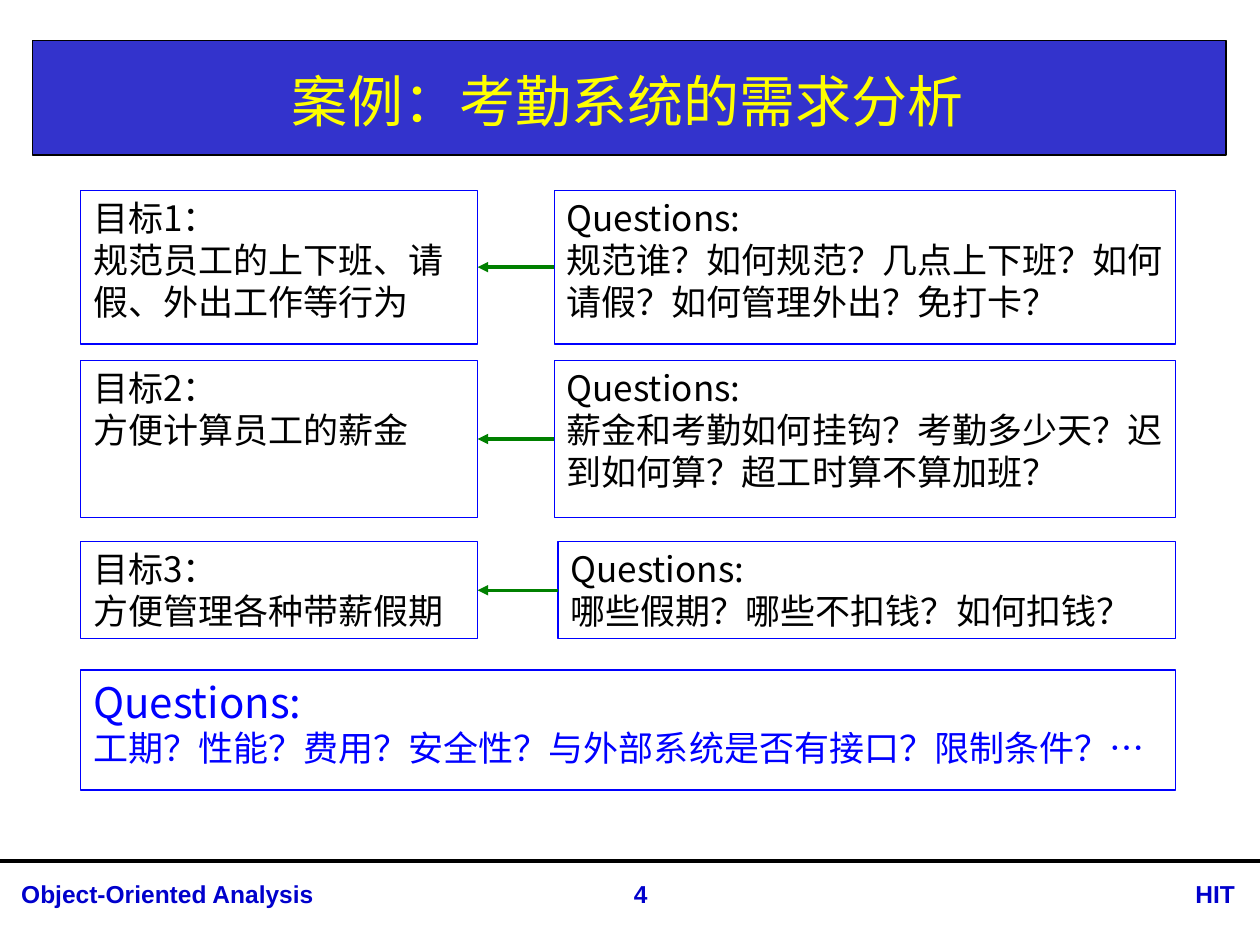
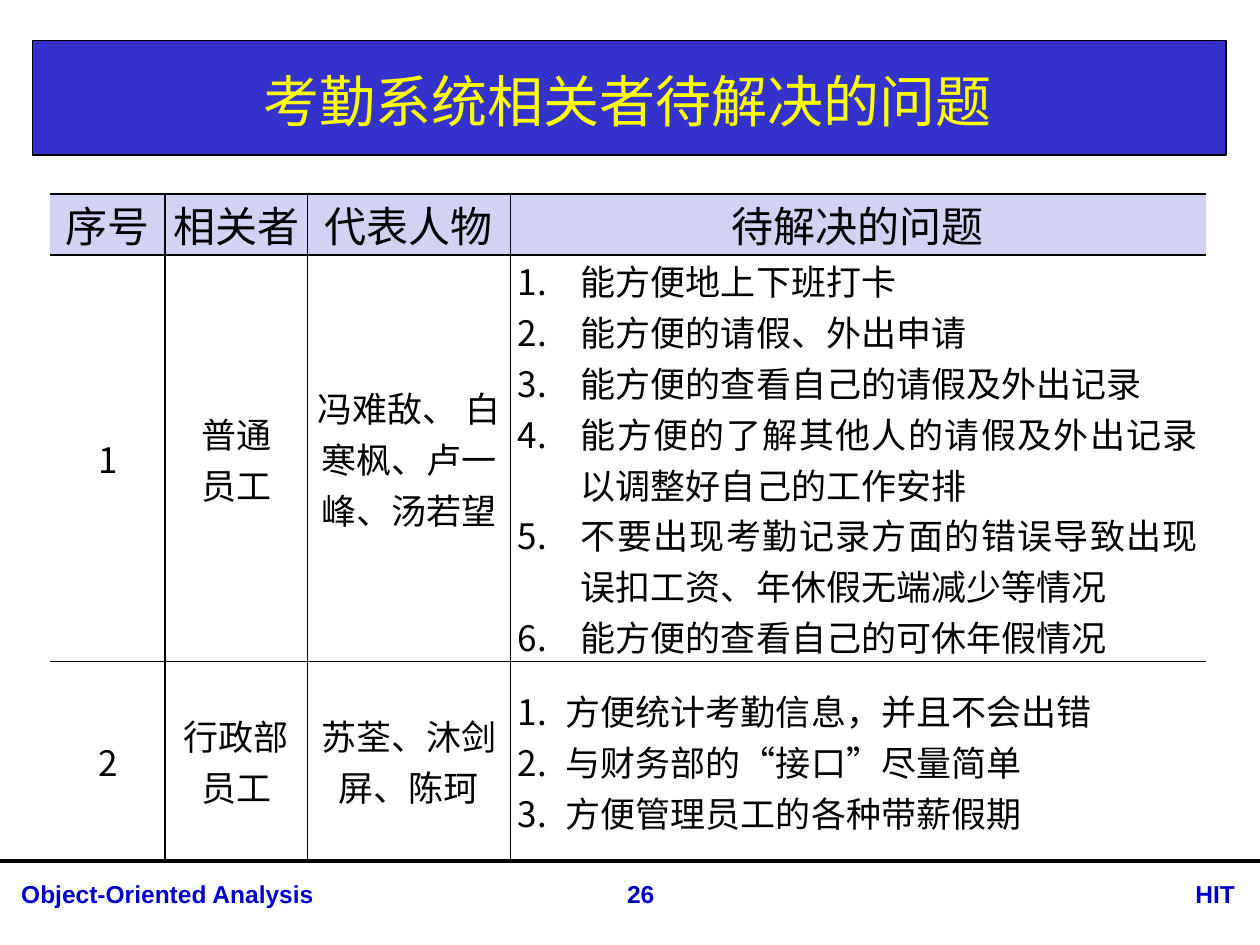
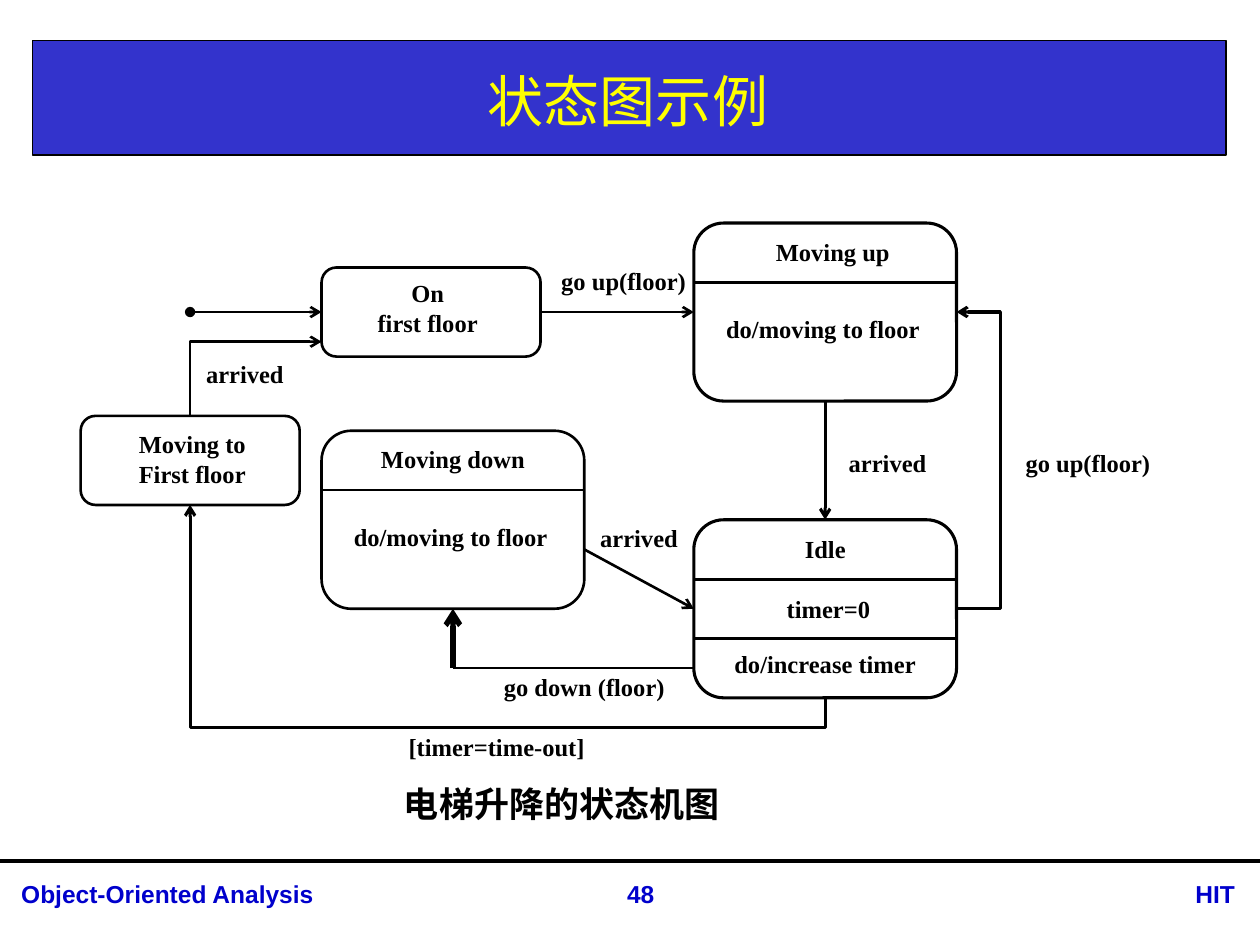
from dataclasses import dataclass, replace

from lxml.etree import SubElement
from pptx import Presentation
from pptx.dml.color import RGBColor
from pptx.enum.shapes import MSO_CONNECTOR, MSO_SHAPE
from pptx.enum.text import MSO_ANCHOR, PP_ALIGN
from pptx.oxml.ns import qn
from pptx.util import Inches, Pt

COLORS = {
    "band": "3333CC",
    "title": "FFFF00",
    "footer": "0000CC",
    "blue": "0000FF",
    "arrow": "008000",
    "header": "D2D2F4",
    "black": "000000",
    "white": "FFFFFF",
}
SANS = "Noto Sans CJK SC"
TOP, LEFT, BOTTOM, RIGHT = range(4)


@dataclass(frozen=True)
class Grid:
    left: float
    top: float
    width: float
    height: float
    columns: float
    rows: float

    def point(self, column, row):
        return (Inches(self.left + column * self.width / self.columns),
                Inches(self.top + row * self.height / self.rows))

    def box(self, column, row, columns, rows):
        return (*self.point(column, row),
                Inches(columns * self.width / self.columns),
                Inches(rows * self.height / self.rows))


@dataclass(frozen=True)
class TextStyle:
    size: int = 20
    color: str = "black"
    font: str = SANS
    bold: bool = False
    align: PP_ALIGN = PP_ALIGN.LEFT
    anchor: MSO_ANCHOR = MSO_ANCHOR.TOP
    spacing: float = 1.0


SLIDE_GRID = Grid(0, 0, 10, 7.5, 100, 75)
BODY = TextStyle()
TITLE = TextStyle(32, "title", align=PP_ALIGN.CENTER, anchor=MSO_ANCHOR.MIDDLE)
FOOTER = TextStyle(14, "footer", "Arial", True)
LABEL = TextStyle(14, "black", "Times New Roman", True, PP_ALIGN.CENTER, MSO_ANCHOR.MIDDLE, 0.72)
EVENT = replace(LABEL, spacing=0.56)
STATE = replace(LABEL, spacing=1.0)
CAPTION = replace(LABEL, size=20, align=PP_ALIGN.JUSTIFY, spacing=1.44)
CELL = replace(BODY, align=PP_ALIGN.CENTER)


def rgb(name):
    return RGBColor.from_string(COLORS[name])


def write(text_frame, lines, style, number_indent=None):
    text_frame.word_wrap = True
    for index, line in enumerate(lines):
        paragraph = text_frame.add_paragraph() if index else text_frame.paragraphs[0]
        paragraph.alignment = style.align
        if style.spacing != 1:
            paragraph.line_spacing = style.spacing
        if number_indent:
            properties = paragraph._p.get_or_add_pPr()
            properties.set("marL", str(Inches(number_indent)))
            properties.set("indent", str(-Inches(number_indent)))
            SubElement(properties, qn("a:buAutoNum"), type="arabicPeriod")
        run = paragraph.add_run()
        run.text = line
        run.font.size = Pt(style.size)
        run.font.bold = style.bold
        run.font.name = style.font
        run.font.color.rgb = rgb(style.color)
        SubElement(run._r.get_or_add_rPr(), qn("a:ea"), typeface=SANS)


def add_text(slide, box, lines, style):
    text_box = slide.shapes.add_textbox(*box)
    write(text_box.text_frame, lines, style)
    text_box.text_frame.vertical_anchor = style.anchor


def paint(shape, fill=None, line=None, width=0.75):
    shape.shadow.inherit = False
    if fill:
        shape.fill.solid()
        shape.fill.fore_color.rgb = rgb(fill)
    else:
        shape.fill.background()
    if line:
        shape.line.color.rgb = rgb(line)
        shape.line.width = Pt(width)
    else:
        shape.line.fill.background()


def add_box(slide, box, lines=(), style=BODY, kind=MSO_SHAPE.RECTANGLE, **look):
    shape = slide.shapes.add_shape(kind, *box)
    paint(shape, **look)
    write(shape.text_frame, lines, style)
    shape.text_frame.vertical_anchor = style.anchor
    return shape


def add_ends(shape, head=None, tail=None):
    line = shape.line._get_or_add_ln()
    for tag, kind in (("a:headEnd", head), ("a:tailEnd", tail)):
        if kind:
            SubElement(line, qn(tag), type=kind)


def add_line(slide, start, end, color="black", width=1.5, head=None, tail=None,
             begin_at=None, end_at=None):
    connector = slide.shapes.add_connector(MSO_CONNECTOR.STRAIGHT, *start, *end)
    if begin_at:
        connector.begin_connect(*begin_at)
    if end_at:
        connector.end_connect(*end_at)
    connector.line.color.rgb = rgb(color)
    connector.line.width = Pt(width)
    add_ends(connector, head, tail)
    SubElement(connector._element.spPr, qn("a:effectLst"))


def add_bent_arrow(slide, grid, corners, width):
    start, *others = [grid.point(*corner) for corner in corners]
    builder = slide.shapes.build_freeform(*start)
    builder.add_line_segments(others, close=False)
    shape = builder.convert_to_shape()
    paint(shape, line="black", width=width)
    add_ends(shape, tail="arrow")


def add_frame(presentation, title, number):
    slide = presentation.slides.add_slide(presentation.slide_layouts[6])
    grid = SLIDE_GRID
    add_box(slide, grid.box(2.6, 3.2, 94.7, 9.1), fill="band", line="black")
    add_line(slide, grid.point(0, 68.3), grid.point(100, 68.3), width=2.25)
    for text, column, columns, align in (
            ("Object-Oriented Analysis", 0.7, 46.3, PP_ALIGN.LEFT),
            ("HIT", 88.7, 10.3, PP_ALIGN.RIGHT),
            (str(number), 45.7, 10.3, PP_ALIGN.CENTER)):
        add_text(slide, grid.box(column, 69.3, columns, 3.4), [text], replace(FOOTER, align=align))
    add_text(slide, grid.box(2.6, 3.6, 94.5, 8.7), [title], TITLE)
    return slide


def add_goals(slide, grid):
    goals = (
        (0, 5.13, 21.63, "规范员工的上下班、请假、外出工作等行为",
         "规范谁？如何规范？几点上下班？如何请假？如何管理外出？免打卡？"),
        (5.67, 5.25, 21.63, "方便计算员工的薪金",
         "薪金和考勤如何挂钩？考勤多少天？迟到如何算？超工时算不算加班？"),
        (11.72, 3.24, 21.8, "方便管理各种带薪假期",
         "哪些假期？哪些不扣钱？如何扣钱？"),
    )
    goal_columns = 18.13
    for number, (row, rows, column, goal, questions) in enumerate(goals, 1):
        goal_box = add_box(slide, grid.box(0, row, goal_columns, rows),
                           [f"目标{number}：", goal], line="blue")
        question_box = add_box(slide, grid.box(column, row, grid.columns - column, rows),
                               ["Questions:", questions], line="blue")
        middle = row + rows / 2
        add_line(slide, grid.point(column, middle), grid.point(goal_columns, middle),
                 "arrow", 2, tail="triangle",
                 begin_at=(question_box, LEFT), end_at=(goal_box, RIGHT))
    general = add_box(slide, grid.box(0, 16, 50, 4),
                      ["Questions:", "工期？性能？费用？安全性？与外部系统是否有接口？限制条件？…"],
                      replace(BODY, color="blue"), line="blue")
    general.text_frame.paragraphs[0].runs[0].font.size = Pt(24)


def set_borders(cell, visible):
    properties = cell._tc.get_or_add_tcPr()
    for side in "LRTB":
        line = SubElement(properties, qn(f"a:ln{side}"), w=str(Pt(1)))
        if side in visible:
            fill = SubElement(line, qn("a:solidFill"))
            SubElement(fill, qn("a:srgbClr"), val=COLORS["black"])
        else:
            SubElement(line, qn("a:noFill"))


def add_stakeholders(slide, grid):
    header = [["序号"], ["相关者"], ["代表人物"], ["待解决的问题"]]
    employees = [["1"], ["普通", "员工"], ["冯难敌、 白寒枫、卢一峰、汤若望"], [
        "能方便地上下班打卡",
        "能方便的请假、外出申请",
        "能方便的查看自己的请假及外出记录",
        "能方便的了解其他人的请假及外出记录以调整好自己的工作安排",
        "不要出现考勤记录方面的错误导致出现误扣工资、年休假无端减少等情况",
        "能方便的查看自己的可休年假情况",
    ]]
    administrators = [["2"], ["行政部", "员工"], ["苏荃、沐剑屏、陈珂"], [
        "方便统计考勤信息，并且不会出错",
        "与财务部的“接口”尽量简单",
        "方便管理员工的各种带薪假期",
    ]]
    contents = [header, employees, administrators]
    number_indents = (None, 0.5, 0.38)
    table = slide.shapes.add_table(3, 4, *grid.box(0, 0, grid.columns, grid.rows)).table
    table.first_row = table.horz_banding = False
    for column, share in zip(table.columns, (9.1, 11.3, 16.1, 55.2)):
        column.width = grid.box(0, 0, share, 0)[2]
    for row, share in zip(table.rows, (4.85, 32.25, 15.8)):
        row.height = grid.box(0, 0, 0, share)[3]
    for row, cells in enumerate(contents):
        for column, lines in enumerate(cells):
            cell = table.cell(row, column)
            set_borders(cell, "TB" + ("L" if column else "") + ("R" if column < 3 else ""))
            cell.margin_left = cell.margin_right = Inches(0.06)
            cell.margin_top = cell.margin_bottom = 0
            if row:
                cell.fill.background()
                cell.vertical_anchor = MSO_ANCHOR.MIDDLE
            else:
                cell.fill.solid()
                cell.fill.fore_color.rgb = rgb("header")
            if row and column == 3:
                write(cell.text_frame, lines, replace(CELL, align=PP_ALIGN.JUSTIFY),
                      number_indents[row])
            else:
                write(cell.text_frame, lines, CELL if row else replace(CELL, size=24))


def add_state(slide, grid, column, row, columns, rows, width, dividers=()):
    state = add_box(slide, grid.box(column, row, columns, rows),
                    kind=MSO_SHAPE.ROUNDED_RECTANGLE, line="black", width=width)
    state.adjustments[0] = 0.167
    for divider in dividers:
        add_line(slide, grid.point(column, row + divider),
                 grid.point(column + columns, row + divider), width=width)
    return state


def add_elevator(slide, grid):
    add_box(slide, grid.box(14.2, 18.5, 16, 1.5), ["电梯升降的状态机图"], CAPTION, fill="white")

    first_floor = add_state(slide, grid, 11, 1.5, 10, 3, 1.5)
    moving_up = add_state(slide, grid, 28, 0, 12, 6, 1.75, [2])
    moving_down = add_state(slide, grid, 11, 7, 12, 6, 1.5, [2])
    idle = add_state(slide, grid, 28, 10, 12, 6, 1.75, [2, 4])
    add_state(slide, grid, 0, 6.5, 10, 3, 1.5)

    for start, end, look in (
            ((5, 3), (11, 3), dict(head="oval", tail="arrow", end_at=(first_floor, LEFT))),
            ((21, 3), (28, 3), dict(tail="arrow", begin_at=(first_floor, RIGHT),
                                    end_at=(moving_up, LEFT))),
            ((34, 6), (34, 10), dict(width=1.75, tail="arrow", begin_at=(moving_up, BOTTOM),
                                     end_at=(idle, TOP))),
            ((23, 11), (28, 13), dict(tail="arrow", end_at=(idle, LEFT))),
            ((28, 15), (17, 15), {}),
            ((17, 15), (17, 13), dict(width=3, tail="arrow", end_at=(moving_down, BOTTOM)))):
        add_line(slide, grid.point(*start), grid.point(*end), **look)

    add_bent_arrow(slide, grid, [(40, 13), (42, 13), (42, 3), (40, 3)], 1.75)
    add_bent_arrow(slide, grid, [(34, 16), (34, 17), (5, 17), (5, 9.5)], 1.75)
    add_bent_arrow(slide, grid, [(5, 6.5), (5, 4), (11, 4)], 1.5)

    for text, column, row, columns, style in (
            ("Moving up", 30.75, 0.33, 7.2, LABEL),
            ("do/moving to floor", 28.4, 2.93, 11, LABEL),
            ("Moving down", 12, 7.3, 10, LABEL),
            ("do/moving to floor", 11.4, 9.93, 11, LABEL),
            ("Idle", 29, 10.33, 10, LABEL),
            ("timer=0", 28.4, 12.36, 11.5, LABEL),
            ("do/increase timer", 29, 14.2, 10, LABEL),
            ("go down (floor)", 18, 15, 10, LABEL),
            ("[timer=time-out]", 14, 17, 10, LABEL),
            ("arrived", 34.35, 7.5, 5, EVENT),
            ("arrived", 23, 10, 5, EVENT),
            ("arrived", 5, 4.5, 5, EVENT),
            ("go up(floor)", 42, 7.5, 8, EVENT),
            ("go up(floor)", 20.8, 1.36, 8, EVENT)):
        add_text(slide, grid.box(column, row, columns, 1.5), [text], style)
    add_text(slide, grid.box(1.45, 6.97, 7.3, 1.95), ["Moving to", "First floor"], STATE)
    add_text(slide, grid.box(12.2, 1.6, 7.3, 2.5), ["On", "first floor"], STATE)


def main():
    presentation = Presentation()
    presentation.slide_width = Inches(10)
    presentation.slide_height = Inches(7.5)
    add_goals(add_frame(presentation, "案例：考勤系统的需求分析", 4),
              Grid(0.64, 1.51, 8.69, 4.76, 50, 20))
    add_stakeholders(add_frame(presentation, "考勤系统相关者待解决的问题", 26),
                     Grid(0.4, 1.54, 9.17, 5.29, 91.7, 52.9))
    add_elevator(add_frame(presentation, "状态图示例", 48),
                 Grid(0.64, 1.77, 8.69, 4.71, 50, 20))
    presentation.save("out.pptx")


if __name__ == "__main__":
    main()
